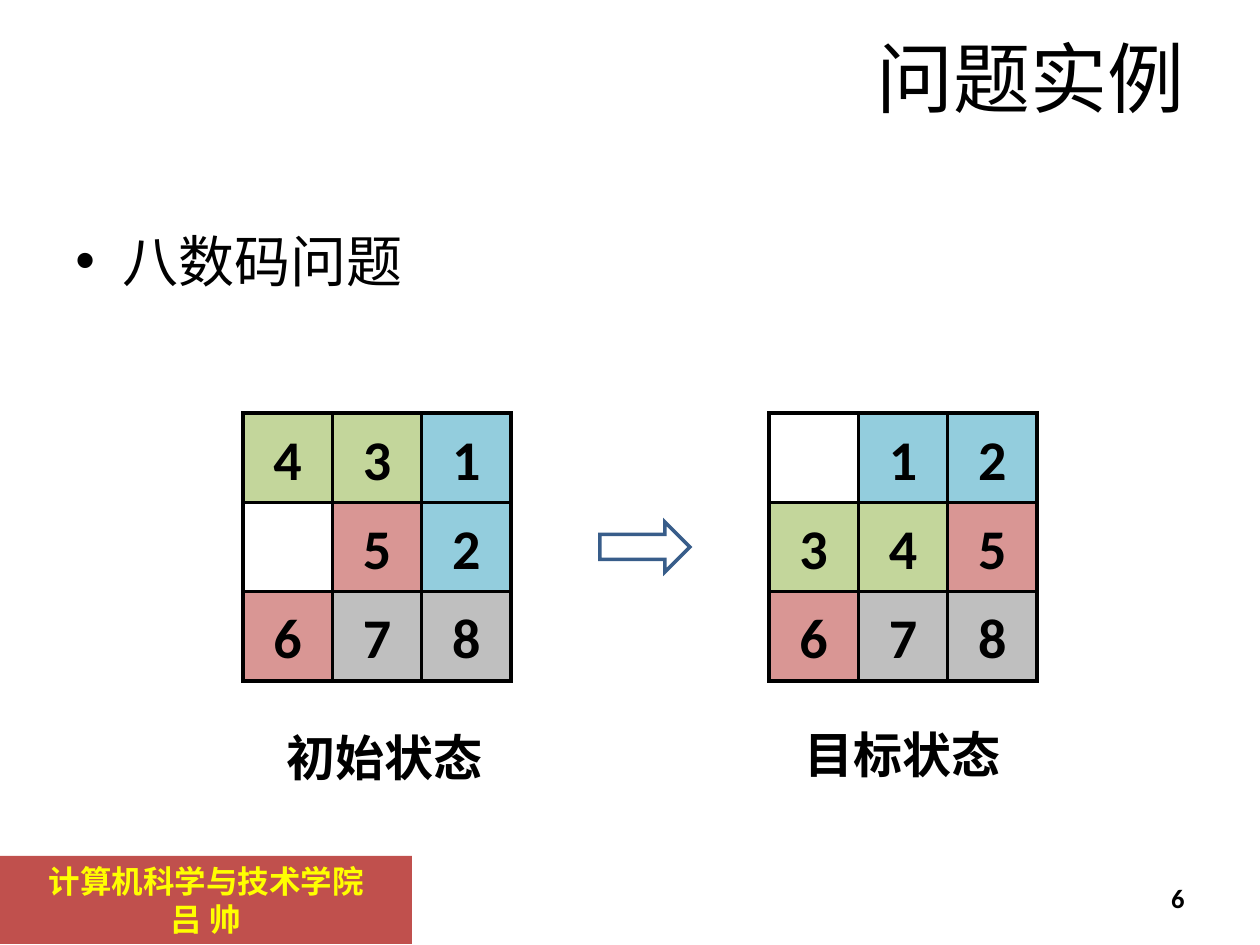
from lxml import etree
from pptx import Presentation, util as u
from pptx.dml.color import RGBColor
from pptx.enum import shapes, text
from pptx.oxml.ns import qn

PX = 914400 / 126
CELL_COLOURS = {
    "1": "93CDDD", "2": "93CDDD", "3": "C3D69B", "4": "C3D69B",
    "5": "D99694", "6": "D99694", "7": "BFBFBF", "8": "BFBFBF", " ": "FFFFFF",
}
BOARD_TOP, BOARD_SIZE = 413, 268
BOARDS = [  # left, rows
    (243, ["431", " 52", "678"]),
    (769, [" 12", "345", "678"]),
]
ARROW = (600, 522, 90, 50)
FOOTER = ((0, 856, 412, 88), ["计算机科学与技术学院", "吕 帅"])

LEFT, CENTER, RIGHT = text.PP_ALIGN.LEFT, text.PP_ALIGN.CENTER, text.PP_ALIGN.RIGHT
TOP, MIDDLE = text.MSO_ANCHOR.TOP, text.MSO_ANCHOR.MIDDLE
TITLE_FONT = {"size": 44, "name": "Calibri"}
BULLET_FONT = {"size": 32, "name": "Calibri"}
NUMBER_FONT = {"size": 15.2, "name": "Calibri", "bold": True}
CAPTION_FONT = {"size": 28, "name": "Arial", "bold": True}
CELL_FONT = {"size": 32, "name": "Calibri", "bold": True}
FOOTER_FONT = {"size": 18, "name": "Arial", "bold": True}

TITLE = ((63, 38, 1134, 77), "问题实例")
BULLET = ((63, 220, 1134, 624), "八数码问题")
NUMBER = ((903, 876, 294, 50), "6")
CAPTIONS = [((274, 721, 230, 72), "初始状态"), ((792, 718, 230, 72), "目标状态")]


def emu(*lengths):
    return [u.Emu(round(length * PX)) for length in lengths]


def colour(value):
    return RGBColor.from_string(value)


def write(shape, lines, font, align, anchor, ink="000000"):
    """Fill a shape with one paragraph a line and return the first paragraph."""
    frame = shape.text_frame
    frame.word_wrap, frame.vertical_anchor = True, anchor
    frame.text = "\n".join(lines)
    for para in frame.paragraphs:
        para.alignment = align
        for span in para.runs:
            for key, value in font.items():
                setattr(span.font, key, u.Pt(value) if key == "size" else value)
            span.font.color.rgb = colour(ink)
    return frame.paragraphs[0]


def add_text(page, content, font, align, anchor):
    place, wording = content
    box = page.shapes.add_textbox(*emu(*place))
    return write(box, [wording], font, align, anchor)


def add_block(page, kind, place, fill, line=None):
    shape = page.shapes.add_shape(kind, *emu(*place))
    shape.shadow.inherit = False
    shape.fill.solid()
    shape.fill.fore_color.rgb = colour(fill)
    if line:
        shape.line.color.rgb = colour(line)
        shape.line.width = u.Pt(2)
        etree.SubElement(shape.line._get_or_add_ln(), qn("a:miter"), lim="800000")
    else:
        shape.line.fill.background()
    return shape


def add_bullet(para):
    """Give a paragraph a round bullet with a hanging indent."""
    properties = para._p.get_or_add_pPr()
    indent = emu(47)[0]
    properties.set("marL", str(indent))
    properties.set("indent", str(-indent))
    etree.SubElement(properties, qn("a:buFont"), typeface="Arial")
    etree.SubElement(properties, qn("a:buChar"), char="•")


def add_board(page, left, rows):
    side = BOARD_SIZE / 3
    for r, row in enumerate(rows):
        for c, digit in enumerate(row):
            place = (left + c * side, BOARD_TOP + r * side, side, side)
            cell = add_block(page, shapes.MSO_SHAPE.RECTANGLE, place, CELL_COLOURS[digit], "000000")
            if digit.strip():
                write(cell, [digit], CELL_FONT, CENTER, MIDDLE)


def main():
    deck = Presentation()
    deck.slide_width, deck.slide_height = emu(1260, 945)
    page = deck.slides.add_slide(deck.slide_layouts[6])

    place, lines = FOOTER
    footer = add_block(page, shapes.MSO_SHAPE.RECTANGLE, place, "C0504D")
    write(footer, lines, FOOTER_FONT, CENTER, TOP, "FFFF00")

    add_text(page, TITLE, TITLE_FONT, RIGHT, MIDDLE)
    add_bullet(add_text(page, BULLET, BULLET_FONT, LEFT, TOP))
    add_text(page, NUMBER, NUMBER_FONT, RIGHT, MIDDLE).line_spacing = 0.8

    for left, rows in BOARDS:
        add_board(page, left, rows)
    add_block(page, shapes.MSO_SHAPE.RIGHT_ARROW, ARROW, "FFFFFF", "385D8A")
    for caption in CAPTIONS:
        add_text(page, caption, CAPTION_FONT, LEFT, TOP)
    deck.save("out.pptx")


if __name__ == "__main__":
    main()
